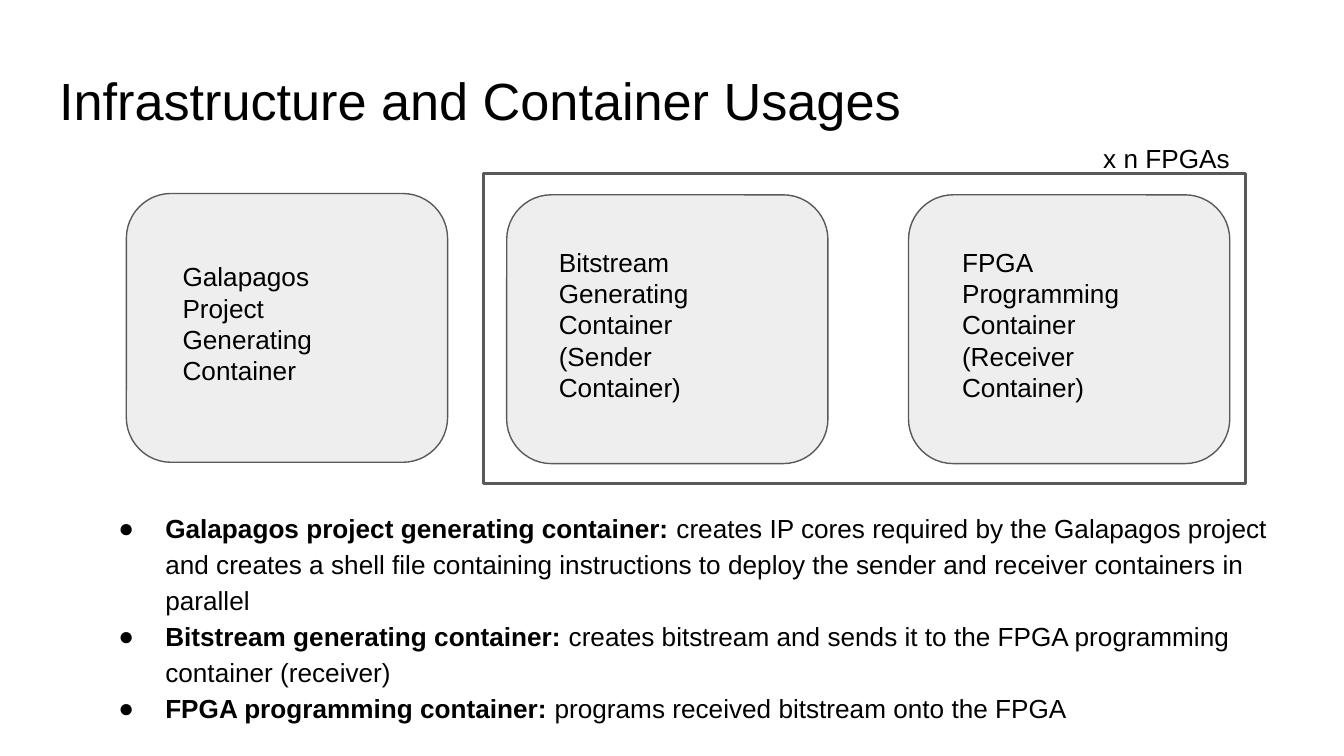
from lxml import etree
from pptx import Presentation
from pptx import util as u
from pptx.dml.color import RGBColor
from pptx.enum import shapes, text
from pptx.oxml.ns import qn

BLACK, GRAY, PALE = "000000", "595959", "EEEEEE"
CONTAINERS = [
    # card left, card top, text left, text top, text width, wording
    (0.94, 1.44, 1.26, 1.84, 1.59, "Galapagos Project Generating Container"),
    (3.77, 1.45, 4.06, 1.73, 1.34, "Bitstream Generating Container (Sender Container)"),
    (6.76, 1.45, 7.06, 1.73, 1.59, "FPGA Programming Container (Receiver Container)"),
]
USAGES = [
    ("Galapagos project generating container:",
     " creates IP cores required by the Galapagos project and creates a shell file "
     "containing instructions to deploy the sender and receiver containers in parallel"),
    ("Bitstream generating container: ",
     "creates bitstream and sends it to the FPGA programming container (receiver)"),
    ("FPGA programming container: ",
     "programs received bitstream onto the FPGA"),
]


def color(value):
    return RGBColor.from_string(value)


def place(shape, box):
    shape.left, shape.top, shape.width, shape.height = map(u.Inches, box)


def prepare_frame(shape):
    frame = shape.text_frame
    frame.word_wrap = True
    frame.auto_size = text.MSO_AUTO_SIZE.NONE
    frame.vertical_anchor = text.MSO_ANCHOR.TOP
    frame.margin_left = frame.margin_right = u.Inches(0.1)
    frame.margin_top = frame.margin_bottom = u.Inches(0.1)
    return frame


def write(para, wording, size=14, bold=False, fill=BLACK):
    para.alignment = text.PP_ALIGN.LEFT
    span = para.add_run()
    span.text = wording
    span.font.name = "Arial"
    span.font.size = u.Pt(size)
    span.font.bold = bold
    span.font.color.rgb = color(fill)


def add_label(page, box, wording):
    label = page.shapes.add_textbox(*map(u.Inches, box))
    write(prepare_frame(label).paragraphs[0], wording)


def add_panel(page, kind, box, fill=None, width=0.75):
    panel = page.shapes.add_shape(kind, *map(u.Inches, box))
    panel.shadow.inherit = False
    if fill:
        panel.fill.solid()
        panel.fill.fore_color.rgb = color(fill)
    else:
        panel.fill.background()
    panel.line.color.rgb = color(GRAY)
    panel.line.width = u.Pt(width)


def add_bullet(para):
    props = para._p.get_or_add_pPr()
    props.set("marL", str(u.Inches(0.5)))
    props.set("indent", str(u.Inches(-0.35)))
    bullet_color = etree.SubElement(props, qn("a:buClr"))
    etree.SubElement(bullet_color, qn("a:srgbClr"), val=BLACK)
    etree.SubElement(props, qn("a:buFont"), typeface="Arial")
    etree.SubElement(props, qn("a:buChar"), char="●")


def fill_title(title, box):
    place(title, box)
    write(prepare_frame(title).paragraphs[0], "Infrastructure and Container Usages", size=28)


def draw_containers(page, left, top):
    """Three container cards, the last two framed as repeated per FPGA."""
    for card_x, card_y, text_x, text_y, text_width, wording in CONTAINERS:
        x, y = left + card_x - 0.94, top + card_y - 1.44
        add_panel(page, shapes.MSO_SHAPE.ROUNDED_RECTANGLE, (x, y, 2.39, 2), fill=PALE)
        add_label(page, (x + text_x - card_x, y + text_y - card_y, text_width, 1.06), wording)
    add_panel(page, shapes.MSO_SHAPE.RECTANGLE, (left + 2.66, top - 0.15, 5.67, 2.31), width=1.5)
    add_label(page, (left + 7.17, top - 0.48, 1.29, 0.32), "x n FPGAs")


def fill_usages(body, box):
    place(body, box)
    frame = prepare_frame(body)
    for index, (name, purpose) in enumerate(USAGES):
        para = frame.add_paragraph() if index else frame.paragraphs[0]
        para.line_spacing = 1.15
        para.space_before = para.space_after = u.Pt(0)
        add_bullet(para)
        write(para, name, bold=True)
        write(para, purpose)


deck = Presentation()
# A 16:9 page
deck.slide_width = u.Inches(10)
deck.slide_height = u.Inches(10 * 9 / 16)
page = deck.slides.add_slide(deck.slide_layouts[1])
fill_title(page.shapes.title, (0.34, 0.41, 9.32, 0.63))
fill_usages(page.placeholders[1], (0.63, 3.68, 8.92, 1.59))
draw_containers(page, 0.94, 1.44)
deck.save("out.pptx")
